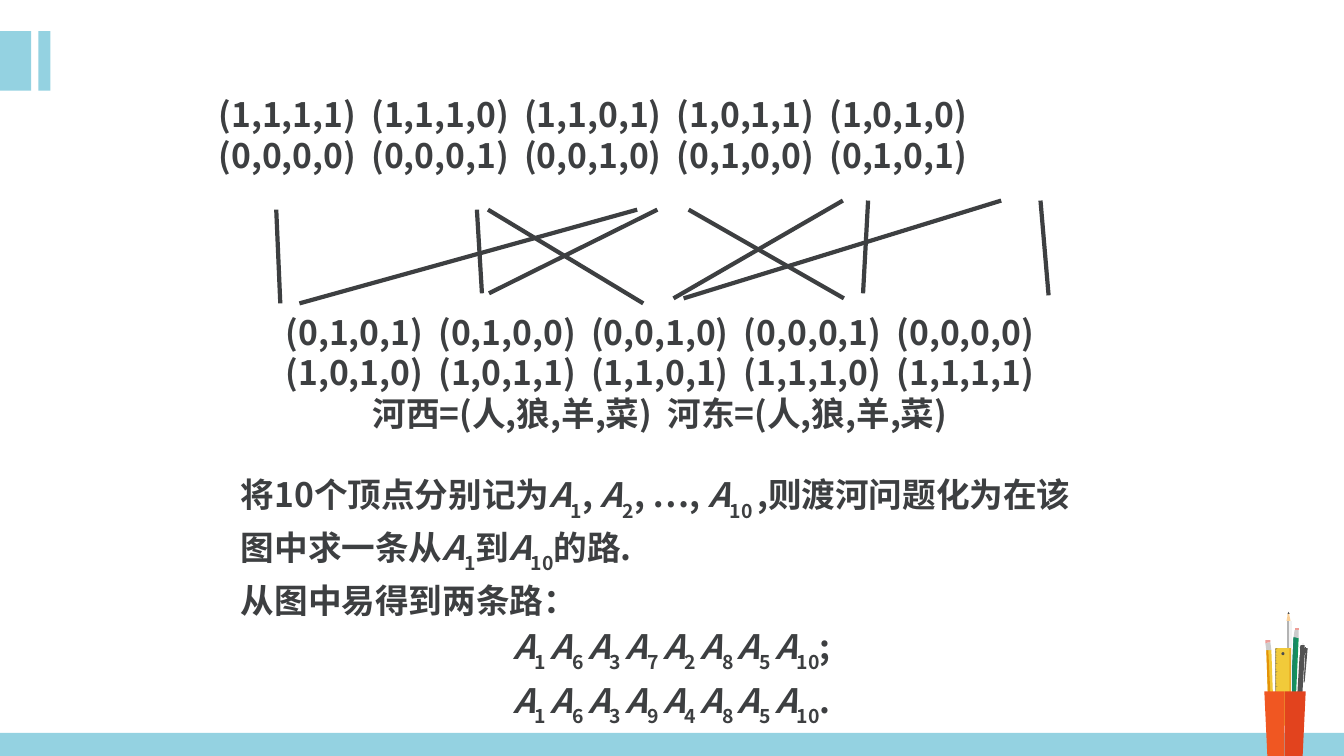
from dataclasses import dataclass

from lxml import etree
from pptx import Presentation, util as u
from pptx.dml.color import RGBColor
from pptx.enum import shapes, text
from pptx.oxml.ns import qn

PX = 9144  # EMU in one px, 100 px to the inch


@dataclass(frozen=True)
class Theme:
    font: str = "Noto Sans CJK SC"
    size: int = 24
    edge: int = 3
    ink: str = "3D3F41"
    sky: str = "94D2E1"
    yellow: str = "F1CA3A"
    amber: str = "E49307"
    green: str = "13955C"
    dark_green: str = "1A8763"
    wood: str = "FBD199"
    lead: str = "4D4D4D"
    ferrule: str = "CCCCCC"
    rubber: str = "ED9D97"
    white: str = "F2F2F2"
    grey: str = "B3B3B3"
    pen: str = "525252"
    orange: str = "F05722"
    red: str = "E2431E"


theme = Theme()
RECT, OVAL = shapes.MSO_SHAPE.RECTANGLE, shapes.MSO_SHAPE.OVAL


def paint(shape, color):
    shape.fill.solid()
    shape.fill.fore_color.rgb = RGBColor.from_string(color)
    shape.line.fill.background()
    shape.shadow.inherit = False


def write_text(left, top, width, height, paragraphs, inset_top=5, spacing=1.0, before=0):
    """Each paragraph is (alignment, text); "|" parts runs, "A" is italic, "_" marks a subscript."""
    frame = slide.shapes.add_textbox(left * PX, top * PX, width * PX, height * PX).text_frame
    frame.word_wrap = True
    frame.auto_size = text.MSO_AUTO_SIZE.SHAPE_TO_FIT_TEXT
    frame.margin_top, frame.margin_bottom = inset_top * PX, (10 - inset_top) * PX
    for index, (alignment, content) in enumerate(paragraphs):
        paragraph = frame.paragraphs[0] if index == 0 else frame.add_paragraph()
        paragraph.alignment = alignment
        paragraph.line_spacing = spacing
        paragraph.space_before = u.Pt(before)
        for piece in content.split("|"):
            run = paragraph.add_run()
            run.text = piece.removeprefix("_")
            run.font.name = theme.font
            run.font.size = u.Pt(theme.size)
            run.font.bold = True
            run.font.italic = piece == "A"
            run.font.color.rgb = RGBColor.from_string(theme.ink)
            properties = run._r.get_or_add_rPr()
            etree.SubElement(properties, qn("a:ea"), typeface=theme.font)
            if piece.startswith("_"):
                properties.set("baseline", "-30000")


deck = Presentation()
deck.slide_width, deck.slide_height = 1333 * PX, 750 * PX
slide = deck.slides.add_slide(deck.slide_layouts[6])

# Footer band and corner tabs
for left, top, width, height in [(0, 727, 1333, 23), (0, 31, 31, 59), (38, 31, 12, 59)]:
    band = slide.shapes.add_shape(RECT, left * PX, top * PX, width * PX, height * PX)
    paint(band, theme.sky)

# Pencils and pen
stationery = slide.shapes.add_group_shape()
pencil_parts = [
    (theme.green, [(1288, 633), (1284, 719), (1279, 718), (1283, 632)]),
    (theme.dark_green, [(1283, 632), (1286, 632), (1282, 719), (1279, 718)]),
    (theme.wood, [(1280, 723), (1279, 718), (1284, 719), (1283, 723), (1282, 726), (1281, 726)]),
    (theme.lead, [(1281, 726), (1282, 726), (1281, 728)]),
    (theme.ferrule, [(1283, 632), (1288, 633), (1288, 625), (1284, 625)]),
    (theme.rubber, [(1288, 625), (1284, 625), (1284, 623), (1288, 623)]),
    (theme.white, [(1276, 616), (1281, 616), (1281, 702), (1276, 702)]),
    (theme.grey, [(1276, 616), (1278, 616), (1278, 702), (1276, 702)]),
    (theme.wood, [(1277, 611), (1276, 616), (1280, 616), (1279, 611), (1279, 609), (1277, 609)]),
    (theme.lead, [(1277, 609), (1279, 609), (1278, 607)]),
    (theme.ferrule, [(1276, 702), (1281, 702), (1281, 709), (1276, 709)]),
    (theme.rubber, [(1276, 710), (1281, 710), (1281, 712), (1276, 712)]),
    (theme.yellow, [(1261, 645), (1264, 731), (1259, 731), (1256, 645)]),
    (theme.amber, [(1256, 645), (1258, 645), (1262, 731), (1259, 731)]),
    (theme.wood, [(1261, 736), (1259, 731), (1264, 731), (1263, 736), (1263, 738), (1261, 738)]),
    (theme.lead, [(1261, 738), (1263, 738), (1262, 740)]),
    (theme.ferrule, [(1256, 645), (1261, 645), (1260, 637), (1255, 638)]),
    (theme.rubber, [(1260, 637), (1255, 638), (1255, 635), (1260, 635)]),
    (theme.white, [(1293, 638), (1293, 643), (1291, 643), (1291, 638)]),
    (theme.pen, [(1294, 650), (1289, 734), (1284, 734), (1289, 650)]),
    (theme.pen, [(1285, 739), (1284, 734), (1289, 734), (1287, 739), (1286, 741), (1285, 741)]),
    (theme.white, [(1285, 741), (1286, 741), (1286, 744)]),
    (theme.pen, [(1289, 650), (1294, 650), (1294, 643), (1289, 643)]),
    (theme.pen, [(1294, 643), (1289, 643), (1290, 640), (1294, 640)]),
    (theme.pen, [(1295, 642), (1295, 648), (1294, 648), (1294, 642)]),
    (theme.pen, [(1297, 643), (1294, 677), (1293, 677), (1295, 643)]),
]
cup_parts = [
    (theme.orange, [(1254, 686), (1257, 750), (1274, 750), (1274, 686)]),
    (theme.red, [(1295, 686), (1274, 686), (1274, 750), (1292, 750)]),
]

# Ruler, with a long tick at every fifth mark
HAIR = 0.2
ruler_parts = [
    (RECT, theme.yellow, 1265, 643, 15, 77),
    (RECT, theme.amber, 1279, 643, 1, 77),
    (OVAL, theme.lead, 1271, 647, 3, 3),
    (RECT, theme.lead, 1265, 644, HAIR, 76),
]
for mark in range(51):
    tick_width = 1 if mark % 5 else 2
    ruler_parts.append((RECT, theme.lead, 1265, 643 + mark * 76 / 50, tick_width, HAIR))

for layer in (pencil_parts, ruler_parts, cup_parts):
    for part in layer:
        if layer is ruler_parts:
            preset, color, *bounds = part
            piece = stationery.shapes.add_shape(preset, *(round(value * PX) for value in bounds))
        else:
            color, corners = part
            outline = stationery.shapes.build_freeform(*corners[0], scale=PX)
            outline.add_line_segments(corners[1:], close=True)
            piece = outline.convert_to_shape()
        paint(piece, color)

# States of the west bank, each above its complement on the east bank
west = ["1111", "1110", "1101", "1011", "1010"]
east = [state.translate(str.maketrans("01", "10")) for state in west]
state_rows = []
for states in (west, east, east[::-1], west[::-1]):
    state_rows.append("  ".join(f"({','.join(state)})" for state in states))

LEFT, CENTER = text.PP_ALIGN.LEFT, text.PP_ALIGN.CENTER
state_format = dict(inset_top=8, spacing=u.Pt(29))
write_text(207, 85, 944, 91, [(LEFT, row) for row in state_rows[:2]], **state_format)
legend = "河西=(人,狼,羊,菜)  河东=(人,狼,羊,菜)"
write_text(190, 301, 929, 131, [(CENTER, row) for row in state_rows[2:] + [legend]], **state_format)

# Crossings between the states
crossings = [
    (274, 208, 278, 301), (297, 301, 632, 208), (652, 208, 485, 291), (683, 208, 837, 296),
    (473, 208, 478, 291), (484, 208, 638, 301), (668, 296, 836, 199), (678, 296, 993, 199),
    (856, 291, 861, 199), (1032, 199, 1040, 293),
]
for ends in crossings:
    crossing = slide.shapes.add_connector(shapes.MSO_CONNECTOR.STRAIGHT, *(end * PX for end in ends))
    crossing.line.color.rgb = RGBColor.from_string(theme.ink)
    crossing.line.width = u.Pt(theme.edge)
    etree.SubElement(crossing._element.spPr, qn("a:effectLst"))

# Conclusion with the two routes
conclusion = [
    (LEFT, "将10个顶点分别记为|A|_1|, |A|_2|, …, |A|_10 |,则渡河问题化为在该图中求一条从|A|_1|到|A|_10|的路."),
    (LEFT, "从图中易得到两条路："),
]
for stops, stop_mark in [((1, 6, 3, 7, 2, 8, 5), ";"), ((1, 6, 3, 9, 4, 8, 5), ".")]:
    route = "".join(f"A|_{stop} |" for stop in stops)
    conclusion.append((CENTER, f"{route}A|_10|{stop_mark}"))
write_text(229, 461, 875, 238, conclusion, spacing=1.1, before=1)

deck.save("out.pptx")
